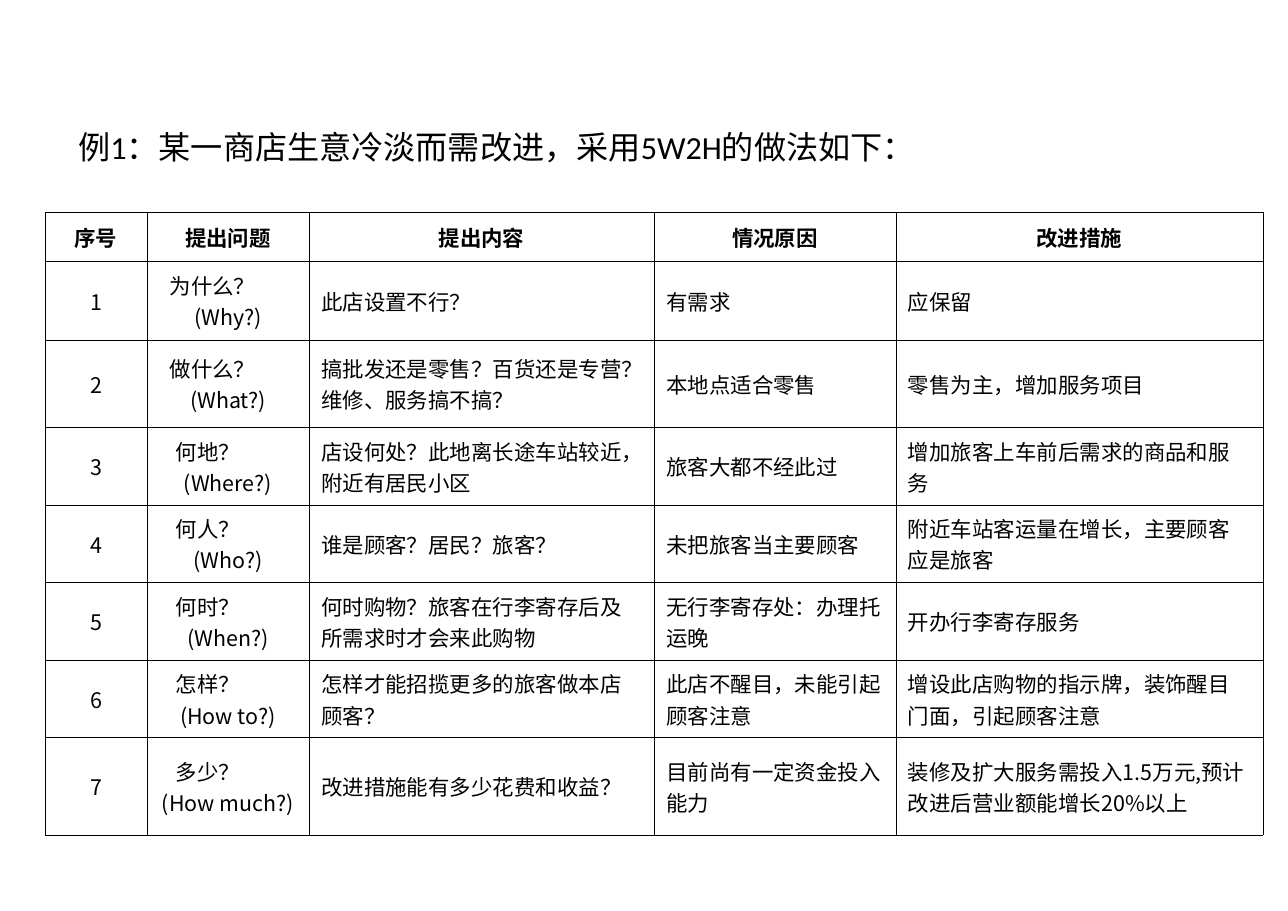
from lxml import etree
from pptx import Presentation
from pptx.dml.color import RGBColor
from pptx.enum.text import MSO_ANCHOR, PP_ALIGN
from pptx.oxml.ns import qn
from pptx.util import Pt

CENTER, LEFT = PP_ALIGN.CENTER, PP_ALIGN.LEFT
MIDDLE = MSO_ANCHOR.MIDDLE
CJK = "Noto Sans CJK SC"
BLACK = "000000"

TITLE = "例1：某一商店生意冷淡而需改进，采用5W2H的做法如下："
HEADS = ["序号", "提出问题", "提出内容", "情况原因", "改进措施"]
ROWS = [
    ("为什么？\n(Why?)", "此店设置不行？", "有需求", "应保留"),
    ("做什么？\n(What?)", "搞批发还是零售？百货还是专营？维修、服务搞不搞？",
     "本地点适合零售", "零售为主，增加服务项目"),
    ("何地？\n(Where?)", "店设何处？此地离长途车站较近，附近有居民小区",
     "旅客大都不经此过", "增加旅客上车前后需求的商品和服务"),
    ("何人？\n(Who?)", "谁是顾客？居民？旅客？",
     "未把旅客当主要顾客", "附近车站客运量在增长，主要顾客应是旅客"),
    ("何时？\n(When?)", "何时购物？旅客在行李寄存后及所需求时才会来此购物",
     "无行李寄存处：办理托运晚", "开办行李寄存服务"),
    ("怎样？\n(How to?)", "怎样才能招揽更多的旅客做本店顾客？",
     "此店不醒目，未能引起顾客注意", "增设此店购物的指示牌，装饰醒目门面，引起顾客注意"),
    ("多少？\n(How much?)", "改进措施能有多少花费和收益？",
     "目前尚有一定资金投入能力", "装修及扩大服务需投入1.5万元,预计改进后营业额能增长20%以上"),
]
WIDTHS = [66.5, 106, 225.5, 158, 240]
HEIGHTS = [32, 51.5, 57, 51, 50.5, 51, 50.5, 63.5]


def color(code):
    return RGBColor.from_string(code)


def style(para, size, face, bold=False):
    font = para.font
    font.size, font.bold, font.name = Pt(size), bold, face
    font.color.rgb = color(BLACK)
    props = para._p.pPr.find(qn("a:defRPr"))
    etree.SubElement(props, qn("a:ea")).set("typeface", CJK)


def border(cell):
    """Draw a thin line on all four sides of the cell."""
    props = cell._tc.get_or_add_tcPr()
    for i, side in enumerate("LRTB"):
        line = etree.Element(qn("a:ln" + side), w=str(int(Pt(0.45))))
        fill = etree.SubElement(line, qn("a:solidFill"))
        etree.SubElement(fill, qn("a:srgbClr")).set("val", BLACK)
        props.insert(i, line)


def write(cell, text, align, bold):
    cell.fill.background()
    border(cell)
    cell.vertical_anchor = MIDDLE
    cell.margin_left = cell.margin_right = Pt(7.9)
    cell.margin_top = cell.margin_bottom = Pt(3.6)
    cell.text_frame.text = text
    paras = cell.text_frame.paragraphs
    for para in paras:
        para.alignment = align
    if len(paras) > 1:
        # The Chinese question sits left of the centred English one.
        first = paras[0]
        first.alignment = LEFT
        indent = 7 if len(first.text) == 4 else 11
        first._p.get_or_add_pPr().set("marL", str(int(Pt(indent))))
    for para in paras:
        style(para, 14, CJK, bold)


def main():
    deck = Presentation()
    deck.slide_width, deck.slide_height = Pt(841.68), Pt(595.44)
    slide = deck.slides.add_slide(deck.slide_layouts[6])

    box = slide.shapes.add_textbox(Pt(43.2), Pt(79.2), Pt(762.5), Pt(30.2))
    frame = box.text_frame
    frame.word_wrap = True
    frame.margin_left = frame.margin_right = Pt(7.9)
    frame.margin_top = frame.margin_bottom = Pt(4.3)
    frame.text = TITLE
    style(frame.paragraphs[0], 21, "Calibri")

    lines = [HEADS] + [(str(n), *row) for n, row in enumerate(ROWS, 1)]
    table = slide.shapes.add_table(
        len(lines), len(HEADS), Pt(29.5), Pt(138.8),
        Pt(sum(WIDTHS)), Pt(sum(HEIGHTS))).table
    table.first_row = table.horz_banding = False
    for col, width in zip(table.columns, WIDTHS):
        col.width = Pt(width)
    for r, (row, height) in enumerate(zip(table.rows, HEIGHTS)):
        row.height = Pt(height)
        for c, text in enumerate(lines[r]):
            align = CENTER if r == 0 or c < 2 else LEFT
            write(table.cell(r, c), text, align, r == 0)

    deck.save("out.pptx")


if __name__ == "__main__":
    main()
